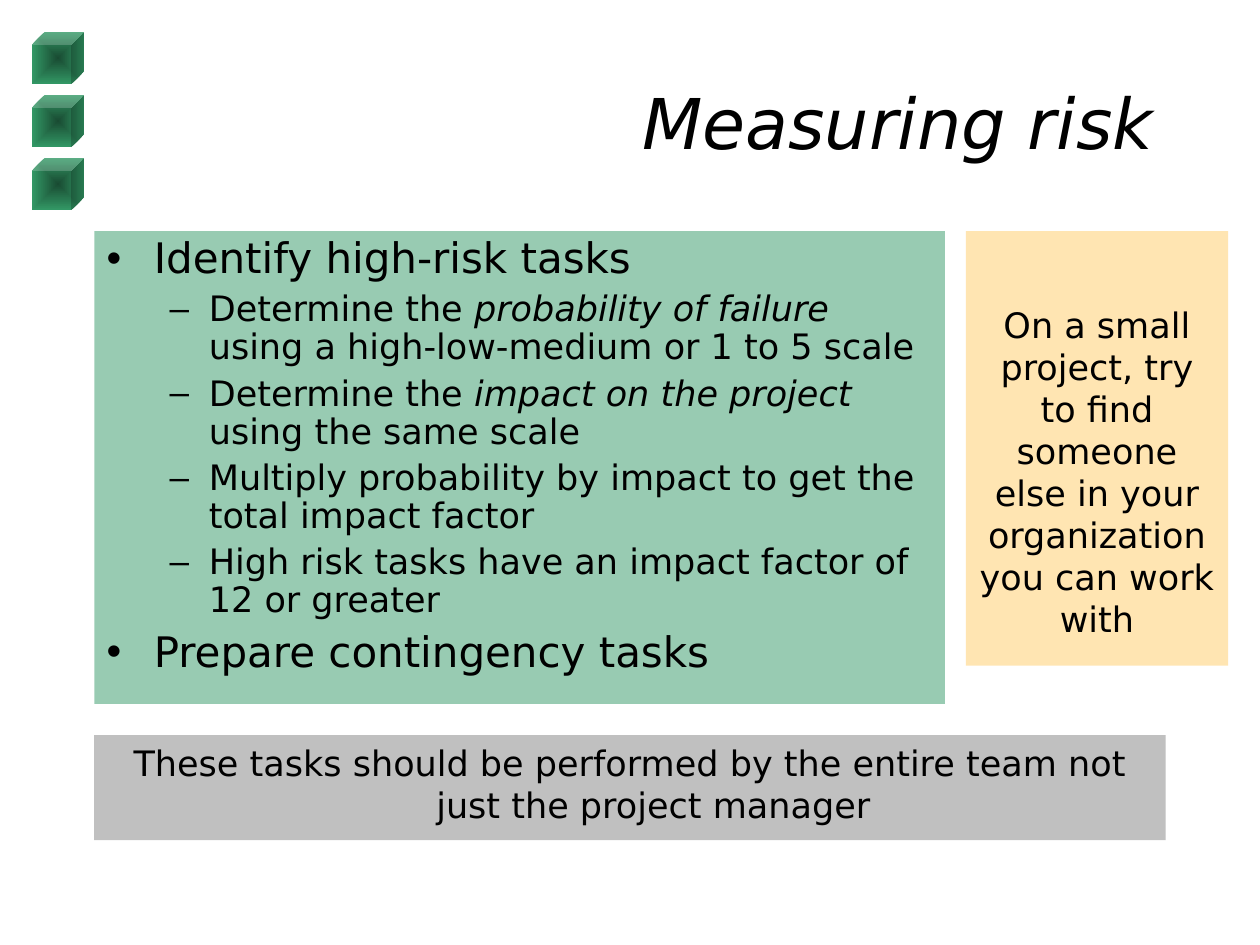
from lxml import etree
from pptx import Presentation
from pptx.dml.color import RGBColor
from pptx.enum.shapes import MSO_SHAPE
from pptx.enum.text import MSO_ANCHOR, MSO_AUTO_SIZE, PP_ALIGN
from pptx.oxml import parse_xml
from pptx.oxml.ns import nsdecls, qn
from pptx.util import Cm, Pt

CUBE, RECTANGLE = MSO_SHAPE.CUBE, MSO_SHAPE.RECTANGLE
TOP, MIDDLE = MSO_ANCHOR.TOP, MSO_ANCHOR.MIDDLE
CENTER, RIGHT, LEFT = PP_ALIGN.CENTER, PP_ALIGN.RIGHT, PP_ALIGN.LEFT
NO_AUTOFIT = MSO_AUTO_SIZE.NONE

FONT = "DejaVu Sans"
BLACK, GREEN, DARK_GREEN = "000000", "339966", "194B32"
GREY, AMBER = "C0C0C0", "FFCC66"

# Per level: bullet, left indent and hang in cm, size and space before in points
LEVELS = [("•", 0.95, 0.95, 24, 6), ("–", 2.06, 0.79, 20, 5)]

# Level and runs; each run is its text and whether it is italic
TASKS = [
    (0, [("Identify high-risk tasks", False)]),
    (1, [("Determine the ", False), ("probability of failure", True),
         (" using a high-low-medium or 1 to 5 scale", False)]),
    (1, [("Determine the ", False), ("impact on the project ", True),
         ("using the same scale", False)]),
    (1, [("Multiply probability by impact to get the total impact factor", False)]),
    (1, [("High risk tasks have an impact factor of 12 or greater", False)]),
    (0, [("Prepare contingency tasks", False)]),
]


def color(hex_string):
    return RGBColor.from_string(hex_string)


def place(shape, box):
    shape.left, shape.top, shape.width, shape.height = [Cm(length) for length in box]


def fill_solid(shape, hex_string, opacity=100):
    shape.fill.solid()
    shape.fill.fore_color.rgb = color(hex_string)
    if opacity < 100:
        solid = shape._element.spPr.find(qn("a:solidFill"))
        etree.SubElement(solid[0], qn("a:alpha"), val=str(opacity * 1000))


def prepare_frame(shape, anchor):
    frame = shape.text_frame
    frame.word_wrap = True
    frame.auto_size = NO_AUTOFIT
    frame.vertical_anchor = anchor
    frame.margin_left = frame.margin_right = Cm(0.25)
    frame.margin_top = frame.margin_bottom = Cm(0.13)
    return frame


def set_indent(paragraph, left, hang):
    properties = paragraph._p.get_or_add_pPr()
    properties.set("marL", str(Cm(left)))
    properties.set("indent", str(-Cm(hang)))
    return properties


def style(paragraph, size, alignment, italic=None):
    paragraph.alignment = alignment
    font = paragraph.font
    font.name, font.size, font.italic = FONT, Pt(size), italic
    font.color.rgb = color(BLACK)


def add_plain_shape(slide, kind, box):
    shape = slide.shapes.add_shape(kind, *[Cm(length) for length in box])
    shape.shadow.inherit = False
    shape.line.fill.background()
    return shape


def add_cubes(slide, box, count=3):
    """Stack shaded cubes evenly down the box."""
    left, top, size, height = box
    step = (height - size) / (count - 1)
    for index in range(count):
        cube = add_plain_shape(slide, CUBE, (left, top + index * step, size, size))
        cube.fill.background()
        properties = cube._element.spPr
        gradient = parse_xml(
            f'<a:gradFill {nsdecls("a")} rotWithShape="1"><a:gsLst>'
            f'<a:gs pos="0"><a:srgbClr val="{DARK_GREEN}"/></a:gs>'
            f'<a:gs pos="100000"><a:srgbClr val="{GREEN}"/></a:gs></a:gsLst>'
            '<a:path path="rect"><a:fillToRect l="50000" t="50000" r="50000" b="50000"/>'
            '</a:path></a:gradFill>')
        properties.replace(properties.find(qn("a:noFill")), gradient)


def fill_title(slide, box):
    title = slide.shapes.title
    place(title, box)
    paragraph = prepare_frame(title, MIDDLE).paragraphs[0]
    paragraph.text = "Measuring risk"
    style(paragraph, 40, RIGHT, italic=True)


def fill_task_list(slide, box):
    body = slide.placeholders[1]
    place(body, box)
    fill_solid(body, GREEN, 50)
    frame = prepare_frame(body, TOP)
    for index, (level, runs) in enumerate(TASKS):
        paragraph = frame.add_paragraph() if index else frame.paragraphs[0]
        bullet, left, hang, size, space = LEVELS[level]
        paragraph.level = level
        paragraph.line_spacing = 0.9
        paragraph.space_before = Pt(space if index else 0)
        properties = set_indent(paragraph, left, hang)
        bullet_color = etree.SubElement(properties, qn("a:buClr"))
        etree.SubElement(bullet_color, qn("a:srgbClr"), val=BLACK)
        etree.SubElement(properties, qn("a:buChar"), char=bullet)
        style(paragraph, size, LEFT)
        for text, italic in runs:
            run = paragraph.add_run()
            run.text = text
            if italic:
                run.font.italic = True


def add_note(slide, box, text, fill, opacity=100):
    """Add a filled panel with centred text; return the panel."""
    note = add_plain_shape(slide, RECTANGLE, box)
    fill_solid(note, fill, opacity)
    paragraph = prepare_frame(note, TOP).paragraphs[0]
    paragraph.text = text
    style(paragraph, 20, CENTER)
    return note


def main():
    presentation = Presentation()
    presentation.slide_width, presentation.slide_height = Cm(25.4), Cm(19.05)
    slide = presentation.slides.add_slide(presentation.slide_layouts[1])

    # Decoration and title
    add_cubes(slide, (0.64, 0.64, 1.06, 3.6))
    fill_title(slide, (1.9, 0.85, 21.6, 3.18))

    # Task list with the notes below and beside it
    fill_task_list(slide, (1.9, 4.66, 17.15, 9.53))
    team_note = add_note(
        slide, (1.9, 14.82, 21.6, 2.12),
        "These tasks should be performed by the entire team not just the project manager",
        GREY)
    set_indent(team_note.text_frame.paragraphs[0], 0.95, 0.95)
    partner_note = add_note(
        slide, (19.47, 4.66, 5.29, 8.76),
        "On a small project, try to find someone else in your organization you can work with",
        AMBER, 50)
    partner_note.text_frame.margin_top = Cm(1.45)

    presentation.save("out.pptx")


if __name__ == "__main__":
    main()
